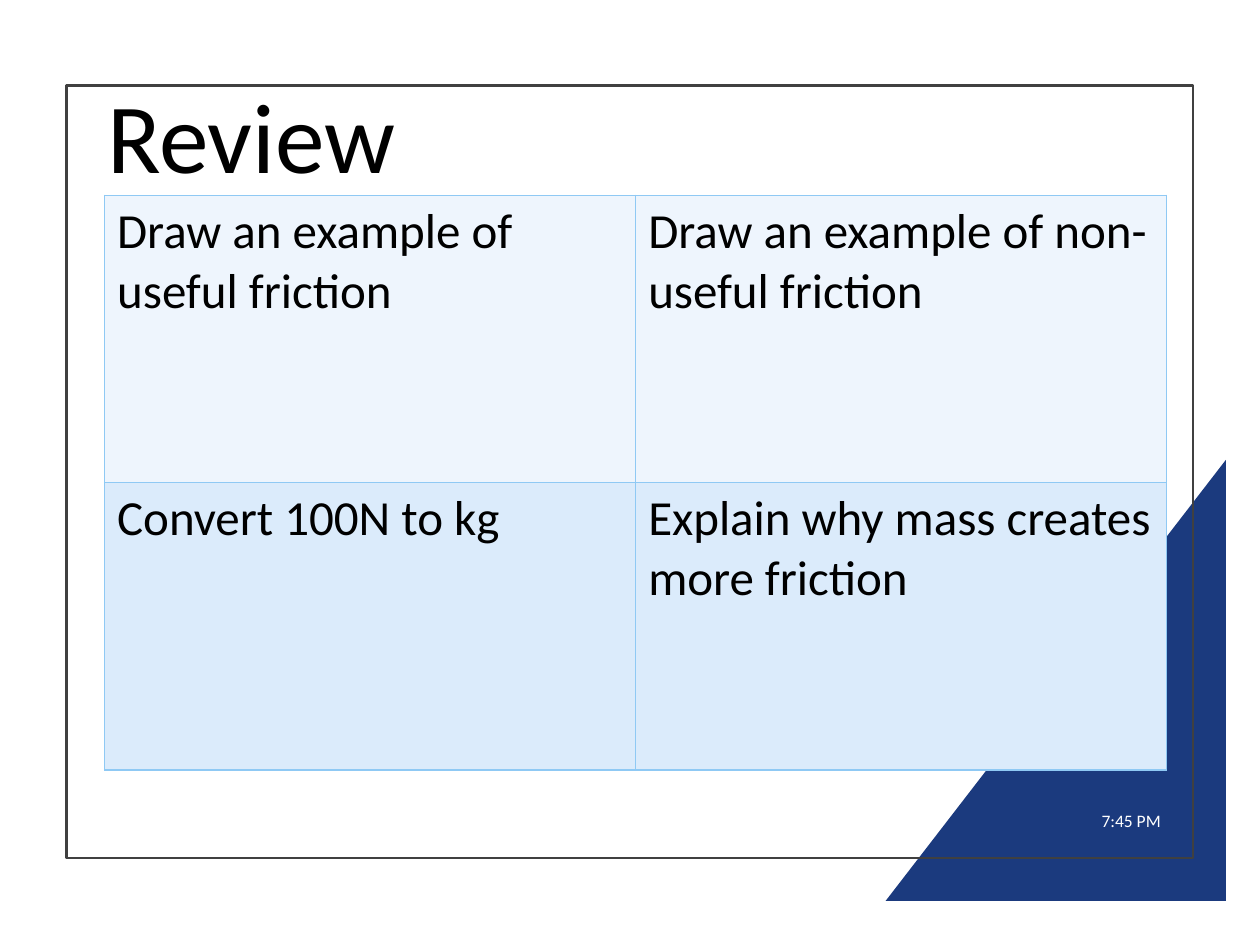
from lxml import etree
from pptx import Presentation
from pptx import util as u
from pptx.dml.color import RGBColor
from pptx.enum import shapes, text
from pptx.oxml.ns import qn

TITLE = "Review"
TIME = "7:45 PM"
TASKS = [
    ["Draw an example of useful friction", "Draw an example of non-useful friction"],
    ["Convert 100N to kg", "Explain why mass creates more friction"],
]
COLORS = {"navy": "1B3A7E", "frame": "404040", "black": "000000",
          "white": "FFFFFF", "border": "8FC9F4"}
ROW_FILLS = ["EEF5FD", "DBEBFB"]
FONT = "Calibri"


def rgb(value):
    return RGBColor.from_string(value)


def box(left, top, width, height):
    return [u.Inches(v) for v in (left, top, width, height)]


def write(tf, content, size, color):
    p = tf.paragraphs[0]
    r = p.add_run()
    r.text = content
    r.font.name = FONT
    r.font.size = u.Pt(size)
    r.font.color.rgb = rgb(COLORS[color])
    return p


def add_borders(cell):
    tcPr = cell._tc.get_or_add_tcPr()
    for index, side in enumerate(("lnL", "lnR", "lnT", "lnB")):
        ln = etree.Element(qn(f"a:{side}"), w=str(u.Pt(1)))
        fill = etree.SubElement(ln, qn("a:solidFill"))
        etree.SubElement(fill, qn("a:srgbClr"), val=COLORS["border"])
        tcPr.insert(index, ln)


def add_decor(s):
    corner = s.shapes.add_shape(shapes.MSO_SHAPE.RIGHT_TRIANGLE, *box(7.03, 3.65, 2.7, 3.5))
    corner.shadow.inherit = False
    corner.fill.solid()
    corner.fill.fore_color.rgb = rgb(COLORS["navy"])
    corner.line.fill.background()
    corner.element.spPr.find(qn("a:xfrm")).set("flipH", "1")

    frame = s.shapes.add_shape(shapes.MSO_SHAPE.RECTANGLE, *box(0.53, 0.68, 8.94, 6.13))
    frame.shadow.inherit = False
    frame.fill.background()
    frame.line.color.rgb = rgb(COLORS["frame"])
    frame.line.width = u.Pt(1.5)


def add_title(s):
    sp = s.shapes.title
    sp.left, sp.top, sp.width, sp.height = box(0.75, 0.75, 6.85, 0.74)
    tf = sp.text_frame
    tf.auto_size = text.MSO_AUTO_SIZE.NONE
    tf.vertical_anchor = text.MSO_ANCHOR.MIDDLE
    p = write(tf, TITLE, 56.7, "black")
    p.alignment = text.PP_ALIGN.LEFT
    p.line_spacing = 0.9


def add_time(s):
    tf = s.shapes.add_textbox(*box(7.41, 6.31, 1.9, 0.4)).text_frame
    tf.word_wrap = True
    tf.vertical_anchor = text.MSO_ANCHOR.MIDDLE
    p = write(tf, TIME, 10, "white")
    p.alignment = text.PP_ALIGN.RIGHT
    p.space_after = u.Pt(6)


def add_tasks(s):
    table = s.shapes.add_table(len(TASKS), len(TASKS[0]), *box(0.83, 1.55, 8.43, 4.56)).table
    table.first_row = False
    table.horz_banding = False
    for i, (row, color) in enumerate(zip(TASKS, ROW_FILLS)):
        for j, task in enumerate(row):
            cell = table.cell(i, j)
            cell.fill.solid()
            cell.fill.fore_color.rgb = rgb(color)
            write(cell.text_frame, task, 28, "black")
            add_borders(cell)


def main():
    prs = Presentation()
    prs.slide_width, prs.slide_height = u.Inches(10), u.Inches(7.5)
    s = prs.slides.add_slide(prs.slide_layouts[5])
    add_decor(s)
    add_title(s)
    add_time(s)
    add_tasks(s)
    prs.save("out.pptx")


if __name__ == "__main__":
    main()
